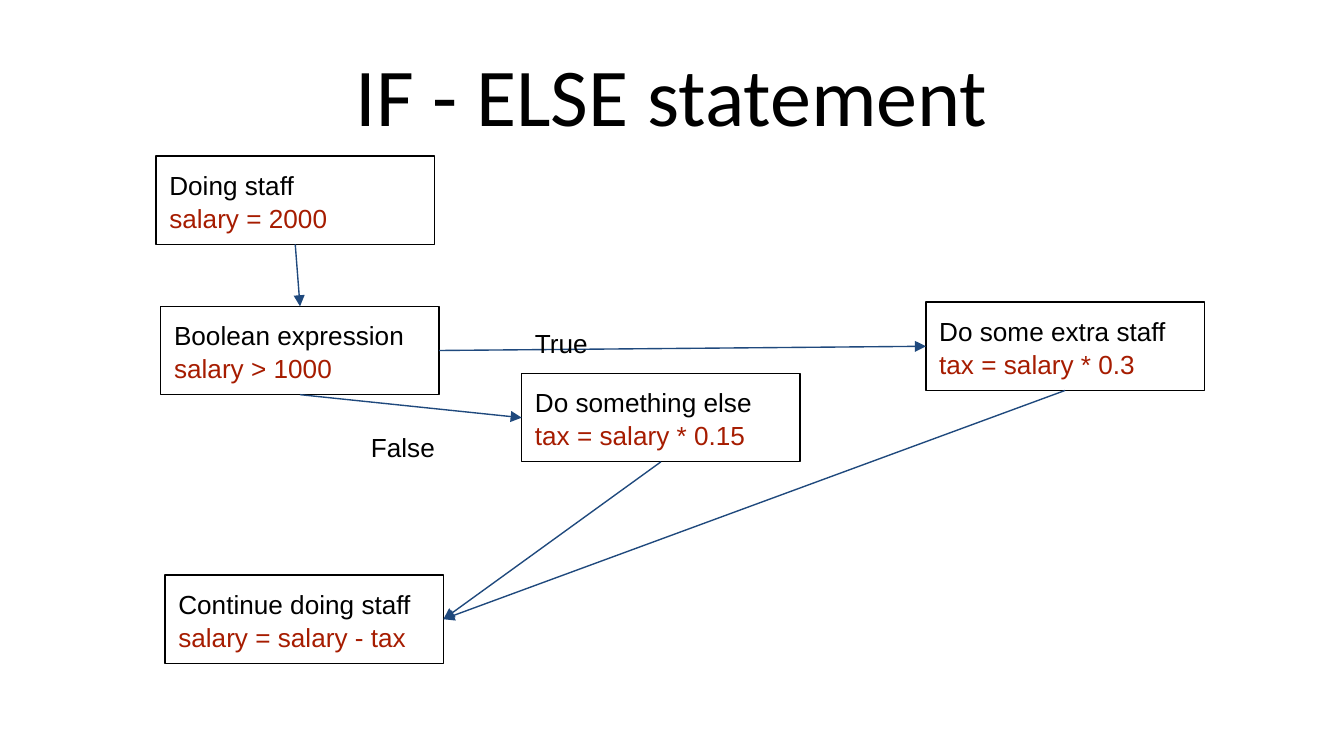
import pptx
import pptx.util
import pptx.dml.color
import pptx.enum.shapes
import pptx.enum.text
import pptx.oxml
import pptx.oxml.ns
from dataclasses import dataclass

Cm, Pt = pptx.util.Cm, pptx.util.Pt
RGB = pptx.dml.color.RGBColor
ANCHOR = pptx.enum.text.MSO_ANCHOR

# Content: positions in cm
TITLE = "IF - ELSE statement"
STEPS = {  # name: (left, top, description, code)
    "start": (2.95, 2.95, "Doing staff", "salary = 2000"),
    "test": (3.04, 5.79, "Boolean expression", "salary > 1000"),
    "extra": (17.5, 5.71, "Do some extra staff", "tax = salary * 0.3"),
    "else": (9.86, 7.06, "Do something else", "tax = salary * 0.15"),
    "end": (3.12, 10.87, "Continue doing staff", "salary = salary - tax"),
}
BRANCHES = [("True", 9.86, 5.94, 1.67), ("False", 6.76, 7.9, 0.71)]
TOP, LEFT, BOTTOM, RIGHT = range(4)
ARROWS = [
    ("start", BOTTOM, "test", TOP),
    ("test", RIGHT, "extra", LEFT),
    ("test", BOTTOM, "else", LEFT),
    ("extra", BOTTOM, "end", RIGHT),
    ("else", BOTTOM, "end", RIGHT),
]
BOX_W, BOX_H, LABEL_W = 5.26, 1.67, 2.01


@dataclass(frozen=True)
class Theme:
    text: RGB = RGB(0x00, 0x00, 0x00)
    code: RGB = RGB(0xA6, 0x1C, 0x00)
    arrow: RGB = RGB(0x1F, 0x49, 0x7D)
    title_font: str = "Calibri"
    body_font: str = "Arial"
    title_size: int = 44
    body_size: int = 14
    line_width: float = 0.75
    inset: float = 0.25


THEME = Theme()


def set_frame(tf, anchor=ANCHOR.TOP):
    tf.word_wrap = True
    tf.auto_size = pptx.enum.text.MSO_AUTO_SIZE.NONE
    tf.vertical_anchor = anchor
    tf.margin_left = tf.margin_right = Cm(THEME.inset)
    tf.margin_top = tf.margin_bottom = Cm(THEME.inset)


def add_run(p, text, color=THEME.text, font=THEME.body_font, size=THEME.body_size):
    r = p.add_run()
    r.text = text
    r.font.name = font
    r.font.size = Pt(size)
    r.font.color.rgb = color


def add_step(s, left, top, description, code):
    sp = s.shapes.add_shape(pptx.enum.shapes.MSO_SHAPE.RECTANGLE,
                            Cm(left), Cm(top), Cm(BOX_W), Cm(BOX_H))
    sp.shadow.inherit = False
    sp.fill.background()
    sp.line.color.rgb = THEME.text
    sp.line.width = Pt(THEME.line_width)
    tf = sp.text_frame
    set_frame(tf)
    p = tf.paragraphs[0]
    add_run(p, description)
    code_p = tf.add_paragraph()
    code_p.space_before = Pt(0.8)
    add_run(code_p, code, THEME.code)
    for p in tf.paragraphs:
        p.alignment = pptx.enum.text.PP_ALIGN.LEFT
    return sp


def add_arrow(s, source, source_side, target, target_side):
    line = s.shapes.add_connector(pptx.enum.shapes.MSO_CONNECTOR.STRAIGHT, 0, 0, 0, 0)
    line.begin_connect(source, source_side)
    line.end_connect(target, target_side)
    line.line.color.rgb = THEME.arrow
    line.line.width = Pt(THEME.line_width)
    ns = pptx.oxml.ns.nsdecls("a")
    line.line._get_or_add_ln().append(
        pptx.oxml.parse_xml(f'<a:tailEnd {ns} type="triangle"/>'))
    line._element.spPr.append(pptx.oxml.parse_xml(f"<a:effectLst {ns}/>"))


def main():
    prs = pptx.Presentation()
    prs.slide_width, prs.slide_height = Cm(25.4), Cm(14.29)
    s = prs.slides.add_slide(prs.slide_layouts[5])

    # Title
    title = s.shapes.title
    title.left, title.top, title.width, title.height = Cm(1.27), Cm(0.58), Cm(22.86), Cm(2.39)
    set_frame(title.text_frame, ANCHOR.MIDDLE)
    p = title.text_frame.paragraphs[0]
    p.alignment = pptx.enum.text.PP_ALIGN.CENTER
    add_run(p, TITLE, font=THEME.title_font, size=THEME.title_size)

    # Steps and the arrows that join them
    boxes = {name: add_step(s, *step) for name, step in STEPS.items()}
    for source, source_side, target, target_side in ARROWS:
        add_arrow(s, boxes[source], source_side, boxes[target], target_side)

    # Branch labels
    for text, left, top, height in BRANCHES:
        label = s.shapes.add_textbox(Cm(left), Cm(top), Cm(LABEL_W), Cm(height))
        set_frame(label.text_frame)
        add_run(label.text_frame.paragraphs[0], text)

    prs.save("out.pptx")


if __name__ == "__main__":
    main()
